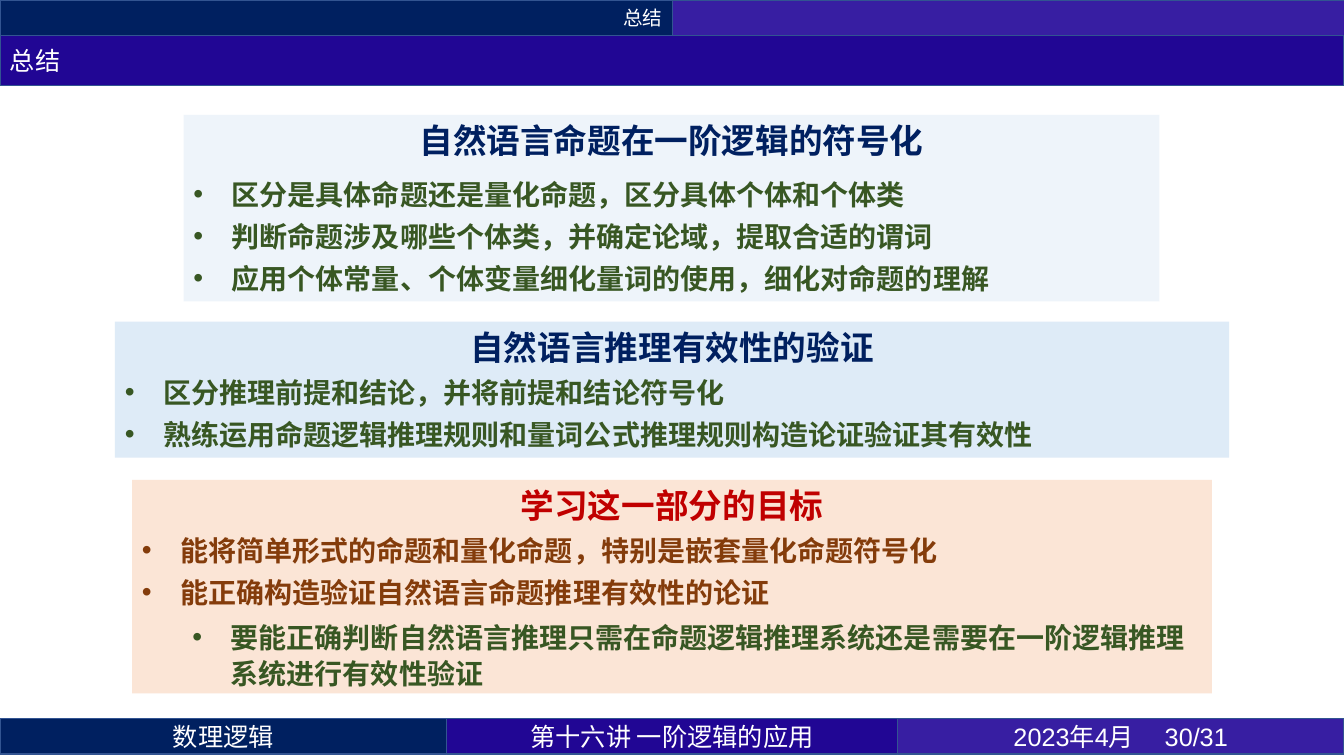
from lxml import etree
from pptx import Presentation
from pptx.dml.color import RGBColor
from pptx.enum import shapes, text
from pptx.oxml import ns
from pptx.util import Inches, Pt

CJK = "Noto Sans CJK SC"
NAVY, INDIGO, VIOLET = "002060", "210694", "371EA2"
GREEN, BROWN, RED = "385723", "843C0B", "C00000"
LEFT, CENTER, RIGHT = text.PP_ALIGN.LEFT, text.PP_ALIGN.CENTER, text.PP_ALIGN.RIGHT


def color(value):
    return RGBColor.from_string(value)


class SummarySlide:
    border = "325491"
    bar_height = 0.35
    hanging = 0.38

    def __init__(self, presentation):
        self.slide = presentation.slides.add_slide(presentation.slide_layouts[6])

    def run(self, paragraph, words, size, fill, bold=False, font=CJK):
        run = paragraph.add_run()
        run.text = words
        run.font.size = Pt(size)
        run.font.bold = bold
        run.font.name = font
        run.font.color.rgb = color(fill)
        latin = run.font._element.find(ns.qn("a:latin"))
        east_asian = etree.Element(ns.qn("a:ea"), typeface=CJK)
        latin.addnext(east_asian)

    def bar(self, left, top, width, height, fill, words="", size=18, align=CENTER, font=CJK):
        shape = self.slide.shapes.add_shape(
            shapes.MSO_SHAPE.RECTANGLE, Inches(left), Inches(top), Inches(width), Inches(height))
        shape.shadow.inherit = False
        shape.fill.solid()
        shape.fill.fore_color.rgb = color(fill)
        shape.line.color.rgb = color(self.border)
        shape.line.width = Pt(1)
        if words:
            frame = shape.text_frame
            frame.vertical_anchor = text.MSO_ANCHOR.MIDDLE
            paragraph = frame.paragraphs[0]
            paragraph.alignment = align
            self.run(paragraph, words, size, "FFFFFF", font=font)

    def panel(self, left, top, width, height, fill, opacity=100):
        shape = self.slide.shapes.add_textbox(
            Inches(left), Inches(top), Inches(width), Inches(height))
        shape.fill.solid()
        shape.fill.fore_color.rgb = color(fill)
        if opacity < 100:
            tint = shape.fill._xPr.find(".//" + ns.qn("a:srgbClr"))
            etree.SubElement(tint, ns.qn("a:alpha"), val=str(opacity * 1000))
        frame = shape.text_frame
        frame.word_wrap = True
        frame.auto_size = text.MSO_AUTO_SIZE.SHAPE_TO_FIT_TEXT
        return frame

    def heading(self, frame, words, fill, before=6):
        paragraph = frame.paragraphs[0]
        paragraph.alignment = CENTER
        paragraph.space_before = Pt(before)
        paragraph.space_after = Pt(6)
        self.run(paragraph, words, 24, fill, bold=True)

    def bullet(self, frame, words, fill, before=0, after=6, level=0, line=None):
        paragraph = frame.add_paragraph()
        paragraph.level = level
        paragraph.space_before = Pt(before)
        paragraph.space_after = Pt(after)
        if line:
            paragraph.line_spacing = Pt(line)
        properties = paragraph._p.get_or_add_pPr()
        properties.set("marL", str(Inches(self.hanging + 0.5 * level)))
        properties.set("indent", str(-Inches(self.hanging)))
        etree.SubElement(properties, ns.qn("a:buFont"), typeface="Arial")
        etree.SubElement(properties, ns.qn("a:buChar"), char="•")
        self.run(paragraph, words, 20, fill, bold=True)


def main():
    presentation = Presentation()
    presentation.slide_width = Inches(13.33)
    presentation.slide_height = Inches(7.5)
    page = SummarySlide(presentation)
    height = page.bar_height

    page.bar(0, 0, 6.67, height, NAVY, "总结", size=14, align=RIGHT)
    page.bar(6.67, 0, 6.67, height, VIOLET)
    footer = 7.13
    page.bar(0, footer, 4.43, height, NAVY, "数理逻辑")
    page.bar(4.43, footer, 4.47, height, INDIGO, "第十六讲 一阶逻辑的应用")
    page.bar(8.9, footer, 4.43, height, VIOLET, "2023年4月\t30/31", font="Arial")
    page.bar(0, height, 13.33, 0.5, INDIGO, "总结", align=LEFT)

    symbols = page.panel(1.82, 1.14, 9.68, 1.85, "DEEBF7", opacity=50)
    page.heading(symbols, "自然语言命题在一阶逻辑的符号化", NAVY)
    for words in (
        "区分是具体命题还是量化命题，区分具体个体和个体类",
        "判断命题涉及哪些个体类，并确定论域，提取合适的谓词",
        "应用个体常量、个体变量细化量词的使用，细化对命题的理解",
    ):
        page.bullet(symbols, words, GREEN, before=6, after=0)

    validity = page.panel(1.14, 3.19, 11.05, 1.35, "DEEBF7")
    page.heading(validity, "自然语言推理有效性的验证", NAVY)
    for words in (
        "区分推理前提和结论，并将前提和结论符号化",
        "熟练运用命题逻辑推理规则和量词公式推理规则构造论证验证其有效性",
    ):
        page.bullet(validity, words, GREEN)

    goals = page.panel(1.31, 4.76, 10.71, 2.12, "FBE5D6")
    page.heading(goals, "学习这一部分的目标", RED, before=0)
    for words in (
        "能将简单形式的命题和量化命题，特别是嵌套量化命题符号化",
        "能正确构造验证自然语言命题推理有效性的论证",
    ):
        page.bullet(goals, words, BROWN)
    page.bullet(
        goals,
        "要能正确判断自然语言推理只需在命题逻辑推理系统还是需要在一阶逻辑推理系统进行有效性验证",
        GREEN, level=1, line=26)

    presentation.save("out.pptx")


if __name__ == "__main__":
    main()
